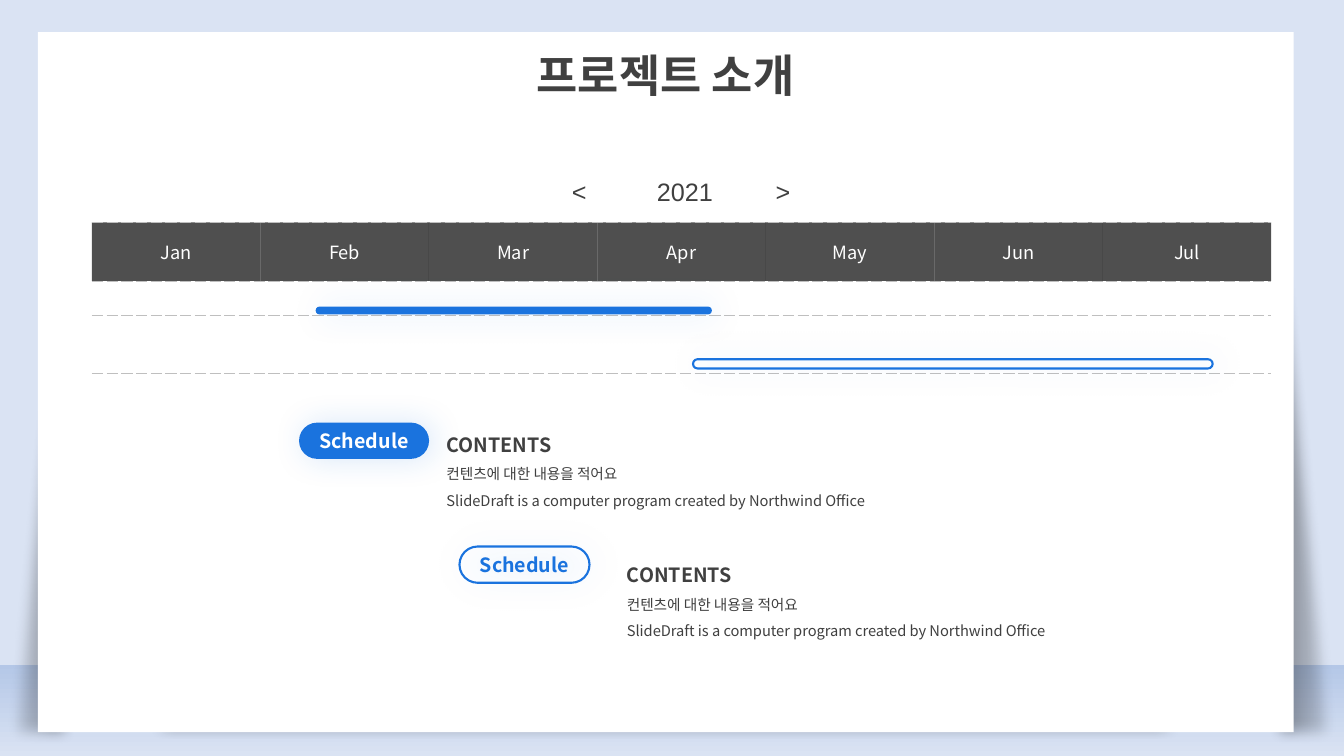
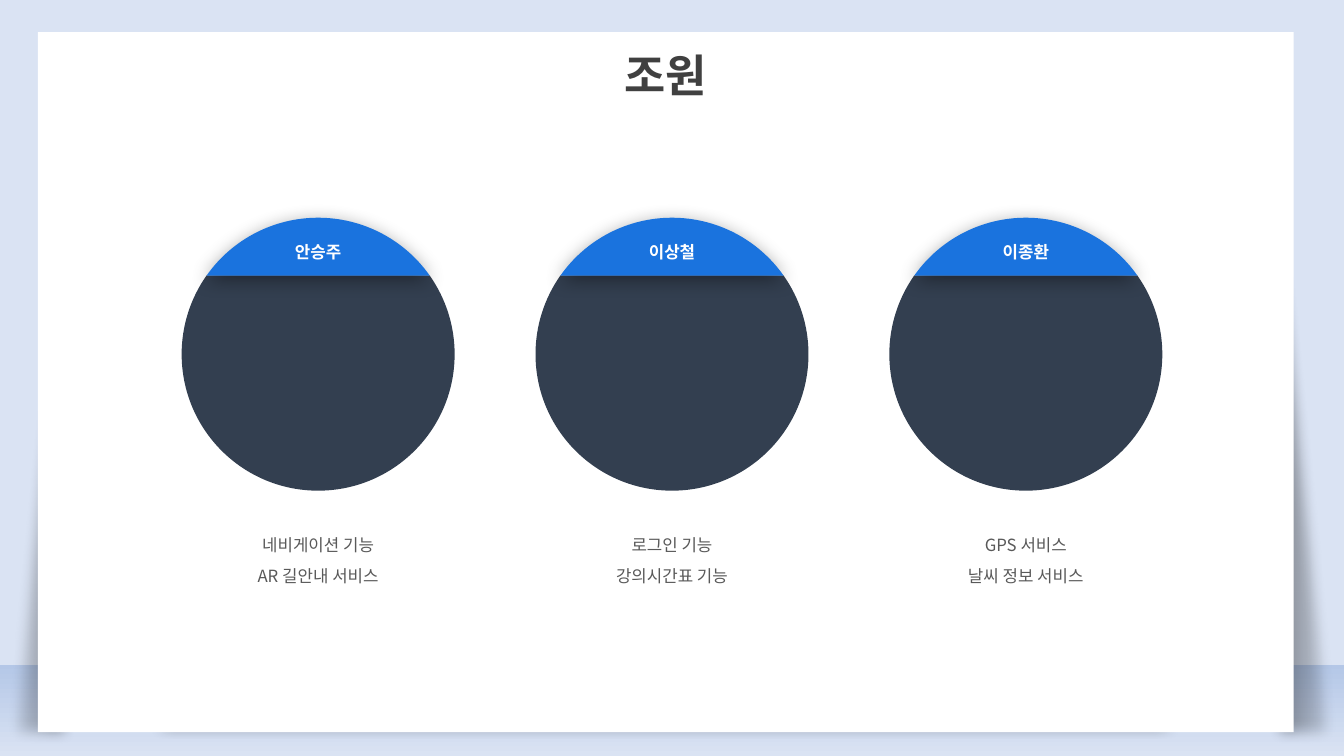
import math

from lxml import etree
from pptx import Presentation
from pptx.dml.color import RGBColor
from pptx.enum import shapes, text
from pptx.oxml.ns import qn
from pptx.util import Pt

# Shared look
SKY = RGBColor(0xDA, 0xE3, 0xF3)
FLOOR = RGBColor(0xB4, 0xC7, 0xE7)
BLACK = RGBColor(0, 0, 0)
WHITE = RGBColor(255, 255, 255)
DARK = RGBColor(0x40, 0x40, 0x40)
GREY = RGBColor(0x59, 0x59, 0x59)
RULE = RGBColor(0xBF, 0xBF, 0xBF)
BLUE = RGBColor(0x1A, 0x73, 0xDE)
NAVY = RGBColor(0x33, 0x3F, 0x50)
SANS, ARIAL = "Noto Sans CJK KR", "Arial"
W, H = 960, 540
MSO, ALIGN, ANCHOR = shapes.MSO_SHAPE, text.PP_ALIGN, text.MSO_ANCHOR
NO_STYLE = "{2D5ABB26-0587-4C30-8999-92F81FD0307C}"
GLOW = dict(color=BLUE, alpha=17, blur=23, dist=3, angle=0)
CAP_SHADOW = dict(color=BLACK, alpha=40, blur=14, dist=3, angle=90)
PAGE_SHADOW = dict(color=BLACK, alpha=40, blur=10, dist=96, angle=90,
                   sx="80000", sy="80000", algn="t")

# Schedule content
SCHEDULE_TITLE = "프로젝트 소개"
YEAR_LINE = "\t<\t2021\t>"
YEAR_TABS = (343, 418.5, 488.5)
MONTHS = ["Jan", "Feb", "Mar", "Apr", "May", "Jun", "Jul"]
ROW_HEIGHTS = (41.8, 41.8, 24.3, 41.8)
TABLE_BOX = (65.7, 117, 842.4)
DETAILS = ["컨텐츠에 대한 내용을 적어요",
           "SlideDraft is a computer program created by Northwind Office"]
# bar box, pill position, notes position, filled
TASKS = [
    ((225.5, 219, 283, 5.6), (213.6, 301.9), (311.8, 297.2), True),
    ((495, 256.6, 371.2, 6.6), (328.2, 390.4), (440.7, 390.4), False),
]

# Team content
TEAM_TITLE = "조원"
MEMBERS = [
    ("안승주", ["네비게이션 기능", "AR 길안내 서비스"]),
    ("이상철", ["로그인 기능", "강의시간표 기능"]),
    ("이종환", ["GPS 서비스", "날씨 정보 서비스"]),
]
PITCH, RADIUS, CENTRE_Y, CHORD_Y = 252.75, 97.5, 253, 196.8


def set_alpha(clr, pct):
    etree.SubElement(clr, qn("a:alpha")).set("val", str(pct * 1000))


def add_shadow(sp, color, alpha, blur, dist, angle, **scale):
    effects = sp._element.spPr.find(qn("a:effectLst"))
    shadow = etree.SubElement(effects, qn("a:outerShdw"), blurRad=str(Pt(blur)),
                              dist=str(Pt(dist)), dir=str(angle * 60000), **scale)
    clr = etree.SubElement(shadow, qn("a:srgbClr"), val=str(color))
    set_alpha(clr, alpha)


def paint(sp, fill=None, line=None, shadow=None):
    sp.shadow.inherit = False
    if fill is not None:
        sp.fill.solid()
        sp.fill.fore_color.rgb = fill
    else:
        sp.fill.background()
    if line is not None:
        sp.line.color.rgb = line
        sp.line.width = Pt(1.5)
    else:
        sp.line.fill.background()
    if shadow:
        add_shadow(sp, **shadow)
    return sp


def add_shape(s, kind, box, **look):
    return paint(s.shapes.add_shape(kind, *map(Pt, box)), **look)


def gradient(sp, colors, angle, alphas=()):
    sp.fill.gradient()
    sp.fill.gradient_angle = angle
    for stop, color in zip(sp.fill.gradient_stops, colors):
        stop.color.rgb = color
    grad = sp._element.spPr.find(qn("a:gradFill"))
    for clr, pct in zip(grad.iter(qn("a:srgbClr")), alphas):
        set_alpha(clr, pct)


def write(tf, lines, align=ALIGN.LEFT, spacing=None):
    """Each line is (words, size, colour, bold)."""
    tf.word_wrap = True
    for i, (words, size, color, bold) in enumerate(lines):
        p = tf.paragraphs[0] if i == 0 else tf.add_paragraph()
        p.alignment = align
        if spacing:
            p.line_spacing = spacing
        add_run(p, words, size, color, bold)


def add_run(p, words, size, color, bold=False, font=SANS):
    r = p.add_run()
    r.text = words
    r.font.name, r.font.size, r.font.bold = font, Pt(size), bold
    r.font.color.rgb = color
    etree.SubElement(r._r.get_or_add_rPr(), qn("a:ea"), typeface=font)


def add_page(prs, title):
    s = prs.slides.add_slide(prs.slide_layouts[6])
    s.background.fill.solid()
    s.background.fill.fore_color.rgb = SKY
    band = add_shape(s, MSO.RECTANGLE, (0, 474.8, W, 65.2))
    gradient(band, (FLOOR, SKY), 270)
    # Soft side shadows
    for x, flipped in ((0, True), (906.2, False)):
        side = add_shape(s, MSO.RIGHT_TRIANGLE, (x, 0, 53.8, 531.5))
        gradient(side, (BLACK, BLACK), 180, (0, 48))
        if flipped:
            side._element.spPr.xfrm.set("flipH", "1")
        effects = side._element.spPr.find(qn("a:effectLst"))
        etree.SubElement(effects, qn("a:softEdge"), rad=str(Pt(10)))
    # White page with title
    page = add_shape(s, MSO.RECTANGLE, (27, 22.9, 897, 500),
                     fill=WHITE, shadow=PAGE_SHADOW)
    tf = page.text_frame
    tf.vertical_anchor = ANCHOR.TOP
    tf.margin_top = Pt(11.4)
    write(tf, [(title, 32, DARK, True)], ALIGN.CENTER)
    return s


def style_cell(cell, filled, edges):
    tcPr = cell._tc.get_or_add_tcPr()
    for edge in edges:
        ln = etree.SubElement(tcPr, qn(edge), w=str(Pt(0.25)))
        solid = etree.SubElement(ln, qn("a:solidFill"))
        etree.SubElement(solid, qn("a:srgbClr"), val=str(RULE))
        etree.SubElement(ln, qn("a:prstDash"), val="sysDash")
    cell.vertical_anchor = ANCHOR.MIDDLE
    cell.margin_left = cell.margin_right = Pt(5)
    cell.margin_top = cell.margin_bottom = Pt(0)
    if filled:
        cell.fill.solid()
        cell.fill.fore_color.rgb = BLACK
        set_alpha(next(tcPr.find(qn("a:solidFill")).iter(qn("a:srgbClr"))), 69)
    else:
        cell.fill.background()


def add_calendar(s):
    x, y, width = TABLE_BOX
    frame = s.shapes.add_table(len(ROW_HEIGHTS), len(MONTHS), Pt(x), Pt(y),
                               Pt(width), Pt(sum(ROW_HEIGHTS)))
    table = frame.table
    table.first_row = table.horz_banding = False
    table._tbl.tblPr.find(qn("a:tableStyleId")).text = NO_STYLE
    for i, height in enumerate(ROW_HEIGHTS):
        table.rows[i].height = Pt(height)
        edges = ("a:lnT", "a:lnB") if i > 1 else ("a:lnB",)
        for j in range(len(MONTHS)):
            cell = table.cell(i, j)
            style_cell(cell, i == 1, edges)
            if i > 1:
                cell.text_frame.paragraphs[0].font.size = Pt(10)
    for j, month in enumerate(MONTHS):
        write(table.cell(1, j).text_frame, [(month, 13, WHITE, False)], ALIGN.CENTER)
    # Year switch, placed by centred tabs
    year = table.cell(0, 0)
    year.merge(table.cell(0, len(MONTHS) - 1))
    p = year.text_frame.paragraphs[0]
    tabs = etree.SubElement(p._p.get_or_add_pPr(), qn("a:tabLst"))
    for pos in YEAR_TABS:
        etree.SubElement(tabs, qn("a:tab"), pos=str(Pt(pos)), algn="ctr")
    add_run(p, YEAR_LINE, 18, DARK, font=ARIAL)


def schedule_slide(prs):
    s = add_page(prs, SCHEDULE_TITLE)
    add_calendar(s)
    for bar, pill, notes, filled in TASKS:
        look = dict(fill=BLUE) if filled else dict(line=BLUE)
        box = s.shapes.add_textbox(*map(Pt, (*notes, 336, 67.7)))
        write(box.text_frame, [("CONTENTS", 14, DARK, True)]
              + [(line, 10.5, DARK, False) for line in DETAILS], spacing=1.5)
        for place in (bar, (*pill, 92.9, 25.9)):
            sp = add_shape(s, MSO.ROUNDED_RECTANGLE, place, shadow=GLOW, **look)
            sp.adjustments[0] = 0.5
        # The last shape drawn is the pill
        write(sp.text_frame, [("Schedule", 14, WHITE if filled else BLUE, True)],
              ALIGN.CENTER)


def add_segment(s, cx, stops, **look):
    """Circle segment through the angles in stops, closed by a chord."""
    def point(a, pull=0):
        return (Pt(cx + RADIUS * (math.cos(a) - pull * math.sin(a))),
                Pt(CENTRE_Y + RADIUS * (math.sin(a) + pull * math.cos(a))))

    pts = []
    for a, b in zip(stops, stops[1:]):
        pull = 4 / 3 * math.tan((b - a) / 4)
        pts += [point(a, pull), point(b, -pull), point(b)]
    fb = s.shapes.build_freeform(*point(stops[0]))
    fb.add_line_segments(pts, close=True)
    sp = fb.convert_to_shape()
    # Turn every three points into one curve
    lines = list(sp._element.spPr.iter(qn("a:lnTo")))
    for i in range(0, len(lines), 3):
        curve = etree.Element(qn("a:cubicBezTo"))
        lines[i].addprevious(curve)
        for line in lines[i:i + 3]:
            curve.append(line[0])
            line.getparent().remove(line)
    return paint(sp, **look)


def team_slide(prs):
    s = add_page(prs, TEAM_TITLE)
    right = math.asin((CHORD_Y - CENTRE_Y) / RADIUS)
    left = math.pi - right
    body = (right, 0, math.pi / 2, math.pi, left)
    top = (left, 1.5 * math.pi, right + 2 * math.pi)
    centres = [W / 2 + (i - 1) * PITCH for i in range(len(MEMBERS))]
    for cx, (name, duties) in zip(centres, MEMBERS):
        add_segment(s, cx, body, fill=NAVY)
        box = s.shapes.add_textbox(*map(Pt, (cx - 90.7, 371.5, 181.4, 48.2)))
        write(box.text_frame, [(duty, 12, GREY, False) for duty in duties],
              ALIGN.CENTER, 1.5)
    for cx, (name, duties) in zip(centres, MEMBERS):
        cap = add_segment(s, cx, top, fill=BLUE, shadow=CAP_SHADOW)
        cap.text_frame.vertical_anchor = ANCHOR.MIDDLE
        write(cap.text_frame, [(name, 12, WHITE, True)], ALIGN.CENTER, 1.5)


def main():
    prs = Presentation()
    prs.slide_width, prs.slide_height = Pt(W), Pt(H)
    schedule_slide(prs)
    team_slide(prs)
    prs.save("out.pptx")


if __name__ == "__main__":
    main()
